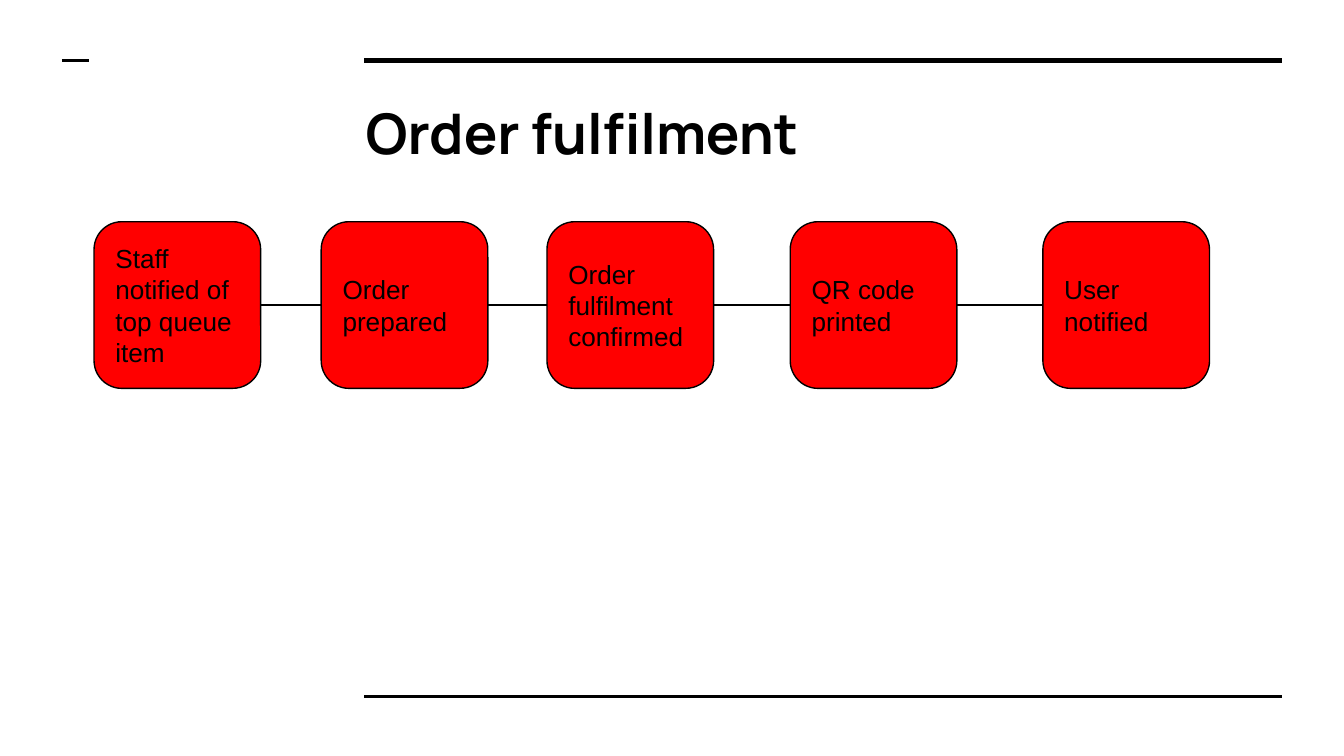
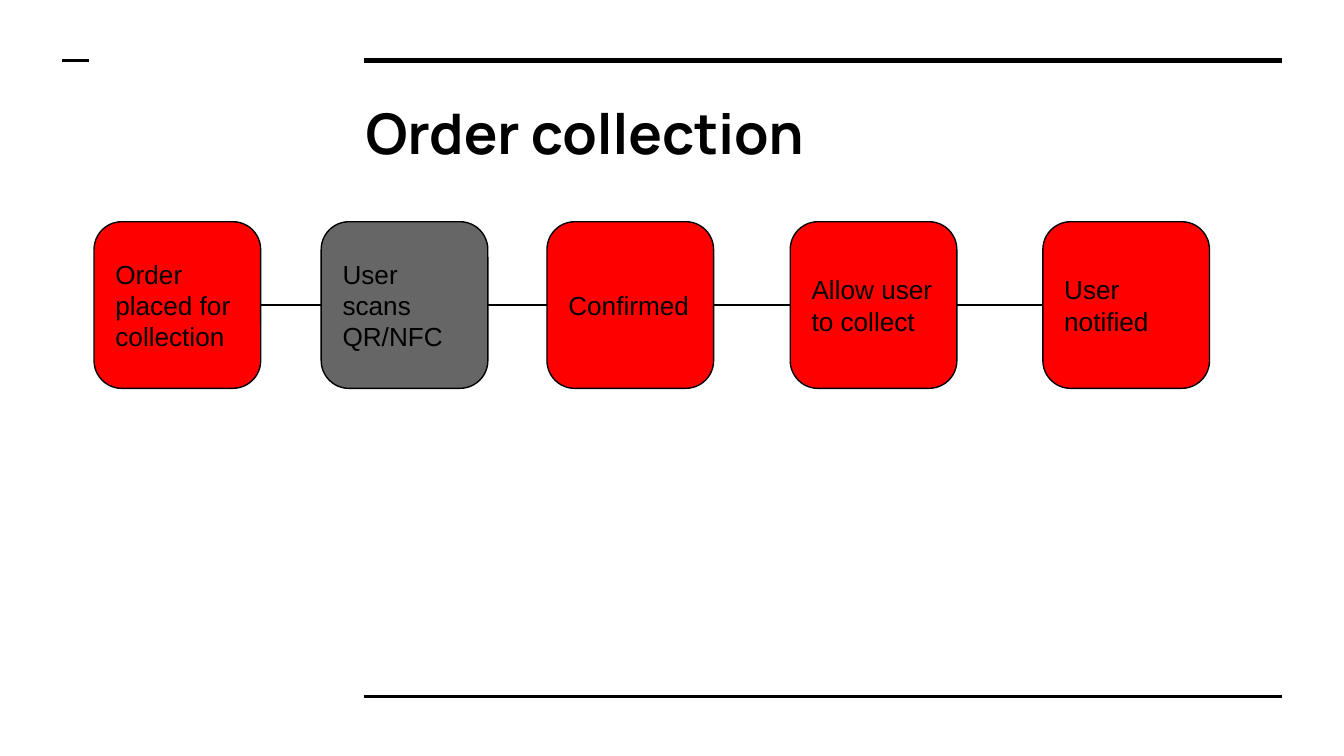
from dataclasses import dataclass
from itertools import pairwise

from lxml.etree import SubElement
from pptx import Presentation
from pptx.dml.color import RGBColor
from pptx.enum.shapes import MSO_CONNECTOR, MSO_SHAPE
from pptx.enum.text import MSO_ANCHOR, MSO_AUTO_SIZE, PP_ALIGN
from pptx.oxml.ns import qn
from pptx.util import Inches, Pt


@dataclass(frozen=True)
class Theme:
    ink: RGBColor = RGBColor(0, 0, 0)
    paper: RGBColor = RGBColor(255, 255, 255)
    step: RGBColor = RGBColor(255, 0, 0)
    user_step: RGBColor = RGBColor(102, 102, 102)
    title_font: str = "Manrope"
    body_font: str = "Arial"
    title_size: float = 30
    body_size: float = 14
    thin: float = 0.75
    medium: float = 1.5
    thick: float = 3


THEME = Theme()
PAGE_WIDTH = 10
PAGE_HEIGHT = PAGE_WIDTH * 9 / 16
TITLE_BOX = (2.62, 0.63, 6.91, 0.69)
FLOW_BOX = (0.7, 1.65, 8.3, 1.24)
# Left edge of each step, measured from the left of the flow
STEP_OFFSETS = (0, 1.69, 3.37, 5.18, 7.06)
# Left, right, height on the page and weight of each rule
RULES = (
    (2.71, 9.54, 0.45, THEME.thick),
    (2.71, 9.54, 5.18, THEME.medium),
    (0.46, 0.66, 0.45, THEME.medium),
)

FLOWS = (
    ("Order fulfilment", (
        ("Staff notified of top queue item", THEME.step),
        ("Order prepared", THEME.step),
        ("Order fulfilment confirmed", THEME.step),
        ("QR code printed", THEME.step),
        ("User notified", THEME.step),
    )),
    ("Order collection", (
        ("Order placed for collection", THEME.step),
        ("User scans QR/NFC", THEME.user_step),
        ("Confirmed", THEME.step),
        ("Allow user to collect", THEME.step),
        ("User notified", THEME.step),
    )),
)


def write_text(shape, text, *, font, size, bold=False, anchor=MSO_ANCHOR.TOP):
    frame = shape.text_frame
    frame.word_wrap = True
    frame.auto_size = MSO_AUTO_SIZE.NONE
    frame.vertical_anchor = anchor
    frame.margin_left = frame.margin_right = Inches(0.1)
    frame.margin_top = frame.margin_bottom = Inches(0.1)
    para = frame.paragraphs[0]
    para.alignment = PP_ALIGN.LEFT
    para.space_before = Pt(0)
    span = para.add_run()
    span.text = text
    span.font.name = font
    span.font.size = Pt(size)
    span.font.bold = bold
    span.font.color.rgb = THEME.ink


def add_line(page, kind, start, end, weight):
    line = page.shapes.add_connector(kind, *map(Inches, start + end))
    line.line.color.rgb = THEME.ink
    line.line.width = Pt(weight)
    SubElement(line._element.spPr, qn("a:effectLst"))
    return line


def add_rules(page):
    for left, right, y, weight in RULES:
        add_line(page, MSO_CONNECTOR.STRAIGHT, (left, y), (right, y), weight)


def place_title(page, text, box):
    title = page.shapes.title
    title.left, title.top, title.width, title.height = map(Inches, box)
    write_text(title, text, font=THEME.title_font, size=THEME.title_size, bold=True)


def add_step(page, text, fill, box):
    step = page.shapes.add_shape(MSO_SHAPE.ROUNDED_RECTANGLE, *map(Inches, box))
    step.shadow.inherit = False
    step.fill.solid()
    step.fill.fore_color.rgb = fill
    step.line.color.rgb = THEME.ink
    step.line.width = Pt(THEME.thin)
    write_text(step, text, font=THEME.body_font, size=THEME.body_size,
               anchor=MSO_ANCHOR.MIDDLE)
    return step


def add_flow(page, steps, box):
    left, top, _, side = box
    shapes = [
        add_step(page, text, fill, (left + offset, top, side, side))
        for (text, fill), offset in zip(steps, STEP_OFFSETS)
    ]
    # Join the right side of each step to the left side of the next
    middle = top + side / 2
    for (source, target), (near, far) in zip(pairwise(shapes), pairwise(STEP_OFFSETS)):
        link = add_line(page, MSO_CONNECTOR.ELBOW, (left + near + side, middle),
                        (left + far, middle), THEME.thin)
        link.begin_connect(source, 3)
        link.end_connect(target, 1)


def add_flow_slide(deck, title, steps):
    page = deck.slides.add_slide(deck.slide_layouts[5])
    page.background.fill.solid()
    page.background.fill.fore_color.rgb = THEME.paper
    add_rules(page)
    place_title(page, title, TITLE_BOX)
    add_flow(page, steps, FLOW_BOX)


def main():
    deck = Presentation()
    deck.slide_width = Inches(PAGE_WIDTH)
    deck.slide_height = Inches(PAGE_HEIGHT)
    for title, steps in FLOWS:
        add_flow_slide(deck, title, steps)
    deck.save("out.pptx")


if __name__ == "__main__":
    main()
